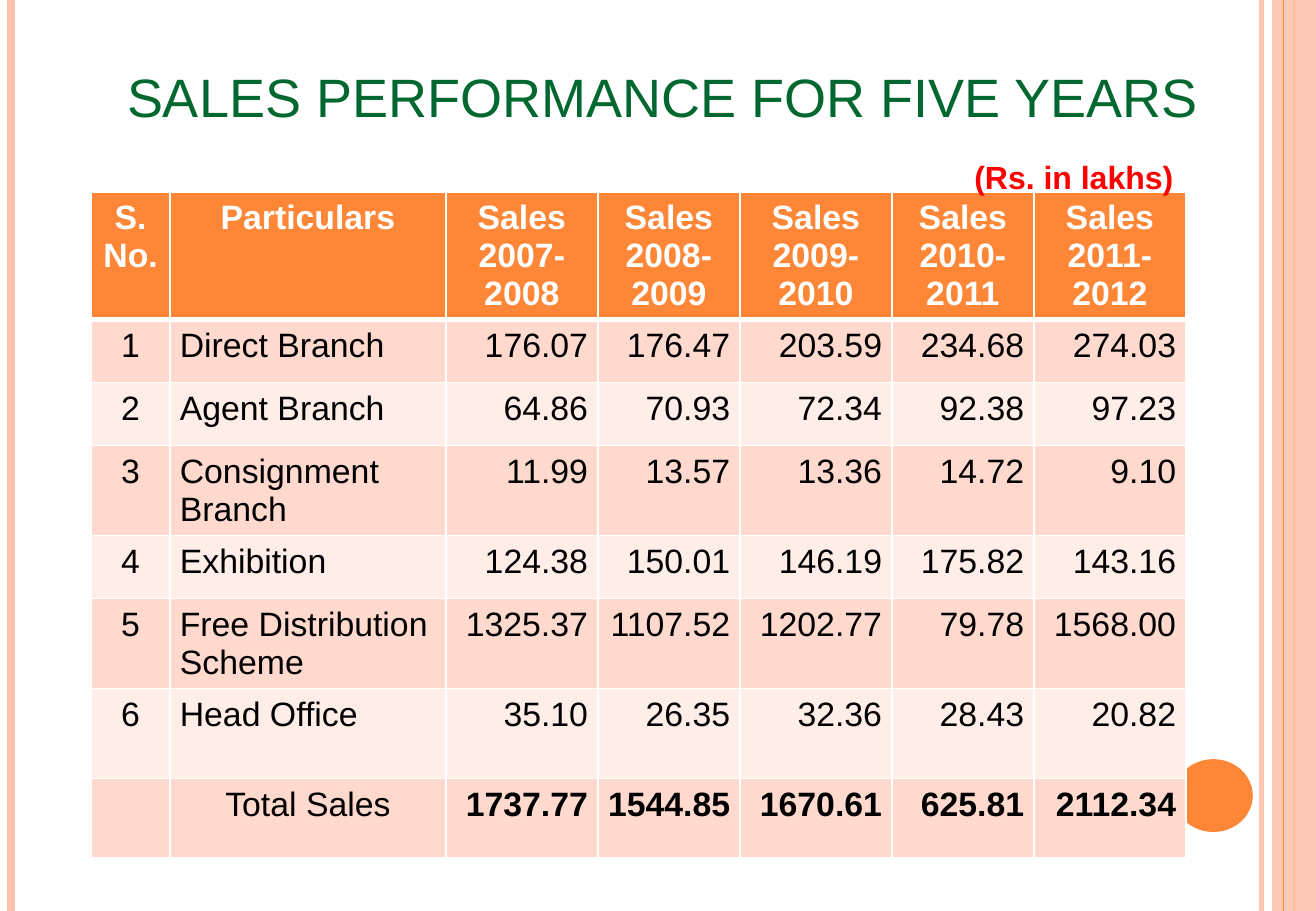
"""Build the five-year sales performance slide with its table."""
from dataclasses import dataclass

import lxml.etree
import pptx
import pptx.dml.color
import pptx.enum.shapes
import pptx.enum.text
import pptx.oxml.ns
import pptx.util

RGBColor = pptx.dml.color.RGBColor
Inches = pptx.util.Inches
Pt = pptx.util.Pt
Align = pptx.enum.text.PP_ALIGN
Preset = pptx.enum.shapes.MSO_SHAPE
qn = pptx.oxml.ns.qn

WHITE = RGBColor(0xFF, 0xFF, 0xFF)
BLACK = RGBColor(0x00, 0x00, 0x00)
RED = RGBColor(0xFF, 0x00, 0x00)
GREEN = RGBColor(0x00, 0x68, 0x2F)
ORANGE = RGBColor(0xFE, 0x86, 0x37)
PEACH = RGBColor(0xFE, 0xC3, 0xAE)
BAND_DARK = RGBColor(0xFF, 0xD9, 0xCE)
BAND_LIGHT = RGBColor(0xFF, 0xED, 0xE8)

SLIDE_WIDTH, SLIDE_HEIGHT = 10.83, 7.5
COLUMN_WIDTHS = (0.65, 2.27, 1.25, 1.17, 1.25, 1.17, 1.25)
ROW_HEIGHTS = (1.04, 0.52, 0.52, 0.74, 0.52, 0.74, 0.74, 0.65)
HEADERS = (
    "S.\nNo.", "Particulars", "Sales\n2007-\n2008", "Sales 2008-\n2009",
    "Sales 2009-\n2010", "Sales 2010-\n2011", "Sales 2011-2012",
)
SALES = (
    ("1", "Direct Branch", "176.07", "176.47", "203.59", "234.68", "274.03"),
    ("2", "Agent Branch", "64.86", "70.93", "72.34", "92.38", "97.23"),
    ("3", "Consignment Branch", "11.99", "13.57", "13.36", "14.72", "9.10"),
    ("4", "Exhibition", "124.38", "150.01", "146.19", "175.82", "143.16"),
    ("5", "Free Distribution Scheme", "1325.37", "1107.52", "1202.77", "79.78", "1568.00"),
    ("6", "Head Office", "35.10", "26.35", "32.36", "28.43", "20.82"),
)
TOTALS = ("", "Total Sales", "1737.77", "1544.85", "1670.61", "625.81", "2112.34")


@dataclass(frozen=True)
class Stripe:
    """A vertical line over the full slide height."""
    x: float
    color: RGBColor
    weight: float
    opacity: int = 100


@dataclass(frozen=True)
class Ornament:
    """A filled decorative shape."""
    preset: Preset
    left: float
    top: float
    width: float
    height: float
    color: RGBColor
    opacity: int = 100


@dataclass(frozen=True)
class TextStyle:
    """The look of a whole text."""
    size: float
    color: RGBColor
    bold: bool = False
    align: Align = Align.LEFT


DECORATION = (
    Stripe(10.38, PEACH, 3, 93),
    Stripe(0.09, PEACH, 4.5),
    Stripe(10.65, ORANGE, 1.5),
    Ornament(Preset.RECTANGLE, 10.47, 0, 0.36, SLIDE_HEIGHT, PEACH, 87),
    Stripe(10.56, ORANGE, 0.75),
    Ornament(Preset.OVAL, 9.66, 6.25, 0.65, 0.6, ORANGE),
)


def set_opacity(properties, percent: int) -> None:
    """Make the first colour in the properties partly transparent."""
    if percent < 100:
        color = next(properties.iter(qn("a:srgbClr")))
        lxml.etree.SubElement(color, qn("a:alpha"), val=str(percent * 1000))


def draw_stripe(slide, stripe: Stripe) -> None:
    """Draw one vertical line."""
    line = slide.shapes.add_connector(
        pptx.enum.shapes.MSO_CONNECTOR.STRAIGHT,
        Inches(stripe.x), 0, Inches(stripe.x), Inches(SLIDE_HEIGHT))
    line.line.color.rgb = stripe.color
    line.line.width = Pt(stripe.weight)
    properties = line._element.spPr
    set_opacity(properties, stripe.opacity)
    lxml.etree.SubElement(properties, qn("a:effectLst"))


def draw_ornament(slide, ornament: Ornament) -> None:
    """Draw one filled shape."""
    shape = slide.shapes.add_shape(
        ornament.preset, Inches(ornament.left), Inches(ornament.top),
        Inches(ornament.width), Inches(ornament.height))
    shape.shadow.inherit = False
    shape.fill.solid()
    shape.fill.fore_color.rgb = ornament.color
    shape.line.fill.background()
    set_opacity(shape._element.spPr, ornament.opacity)


def write_text(frame, text: str, style: TextStyle) -> None:
    """Write the text, one paragraph a line, in one style."""
    frame.text = text
    for paragraph in frame.paragraphs:
        paragraph.alignment = style.align
        paragraph.font.name = "Arial"
        paragraph.font.size = Pt(style.size)
        paragraph.font.bold = style.bold
        paragraph.font.color.rgb = style.color


def set_borders(cell, bottom: float) -> None:
    """Give the cell white borders, with its own bottom weight."""
    properties = cell._tc.get_or_add_tcPr()
    for index, (side, weight) in enumerate(
            (("lnL", 1), ("lnR", 1), ("lnT", 1), ("lnB", bottom))):
        border = lxml.etree.Element(qn(f"a:{side}"), w=str(Pt(weight)))
        fill = lxml.etree.SubElement(border, qn("a:solidFill"))
        lxml.etree.SubElement(fill, qn("a:srgbClr"), val=str(WHITE))
        properties.insert(index, border)


def cell_style(row: int, column: int) -> TextStyle:
    """Return the text style for a place in the table."""
    if row == 0:
        return TextStyle(20, WHITE, True, Align.CENTER)
    is_total = row == len(ROW_HEIGHTS) - 1
    if column >= 2:
        return TextStyle(20, BLACK, is_total, Align.RIGHT)
    centered = column == 0 or is_total
    return TextStyle(20, BLACK, False, Align.CENTER if centered else Align.LEFT)


def draw_sales_table(slide) -> None:
    """Draw the table of sales by branch and year."""
    table = slide.shapes.add_table(
        len(ROW_HEIGHTS), len(COLUMN_WIDTHS), Inches(0.75), Inches(1.58),
        Inches(sum(COLUMN_WIDTHS)), Inches(sum(ROW_HEIGHTS))).table
    for column, width in zip(table.columns, COLUMN_WIDTHS):
        column.width = Inches(width)
    for row, height in zip(table.rows, ROW_HEIGHTS):
        row.height = Inches(height)
    for r, texts in enumerate((HEADERS, *SALES, TOTALS)):
        band = ORANGE if r == 0 else BAND_DARK if r % 2 else BAND_LIGHT
        for c, text in enumerate(texts):
            cell = table.cell(r, c)
            cell.margin_left = cell.margin_right = Inches(0.08)
            cell.margin_top = cell.margin_bottom = Inches(0.06)
            cell.fill.solid()
            cell.fill.fore_color.rgb = band
            set_borders(cell, 3 if r == 0 else 1)
            write_text(cell.text_frame, text, cell_style(r, c))


def main() -> None:
    """Assemble and save the slide."""
    deck = pptx.Presentation()
    deck.slide_width, deck.slide_height = Inches(SLIDE_WIDTH), Inches(SLIDE_HEIGHT)
    slide = deck.slides.add_slide(deck.slide_layouts[6])
    for part in DECORATION:
        if isinstance(part, Stripe):
            draw_stripe(slide, part)
        else:
            draw_ornament(slide, part)
    draw_sales_table(slide)

    title = slide.shapes.add_textbox(
        Inches(0.83), Inches(0.33), Inches(9.25), Inches(0.92)).text_frame
    title.word_wrap = True
    title.vertical_anchor = pptx.enum.text.MSO_ANCHOR.MIDDLE
    write_text(title, "SALES PERFORMANCE FOR FIVE YEARS",
               TextStyle(32, GREEN, align=Align.CENTER))

    unit = slide.shapes.add_textbox(
        Inches(7.92), Inches(1.25), Inches(1.86), Inches(0.42)).text_frame
    unit.word_wrap = False
    unit.auto_size = pptx.enum.text.MSO_AUTO_SIZE.SHAPE_TO_FIT_TEXT
    write_text(unit, "(Rs. in lakhs)", TextStyle(19, RED, True))
    deck.save("out.pptx")


if __name__ == "__main__":
    main()
